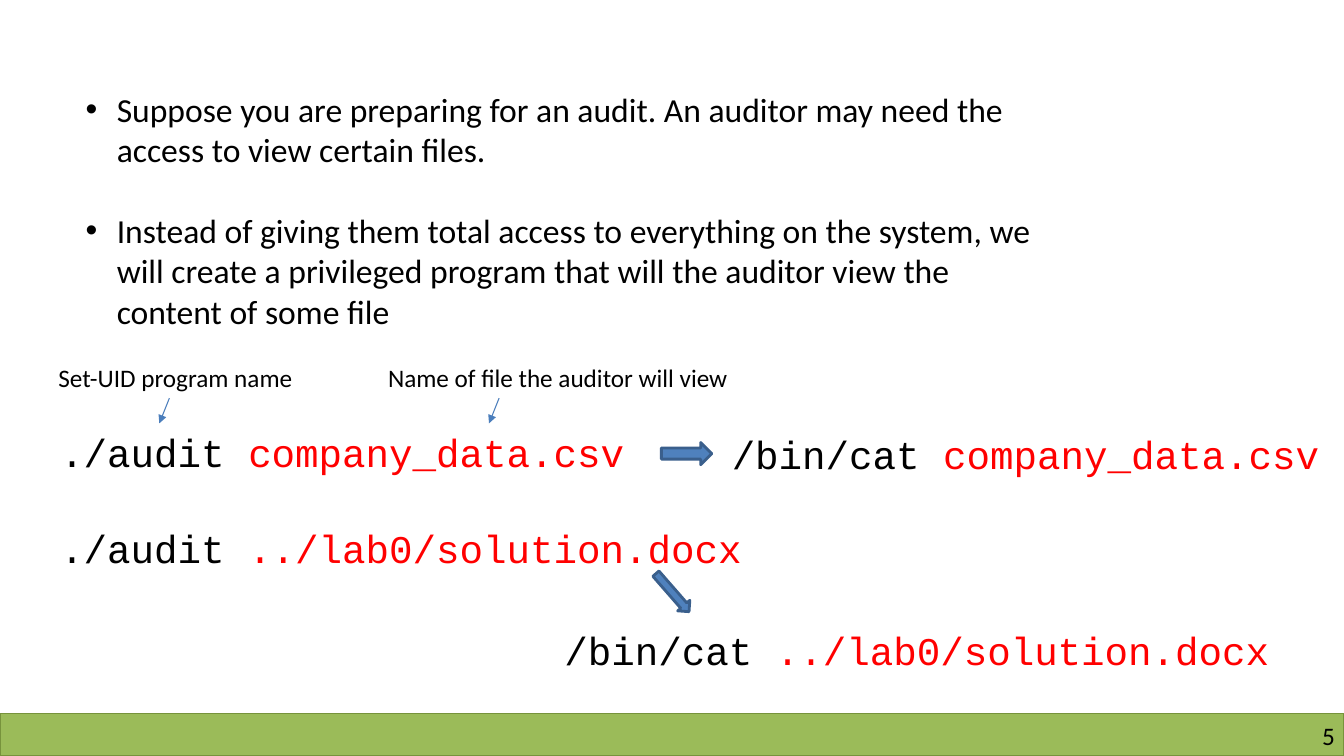
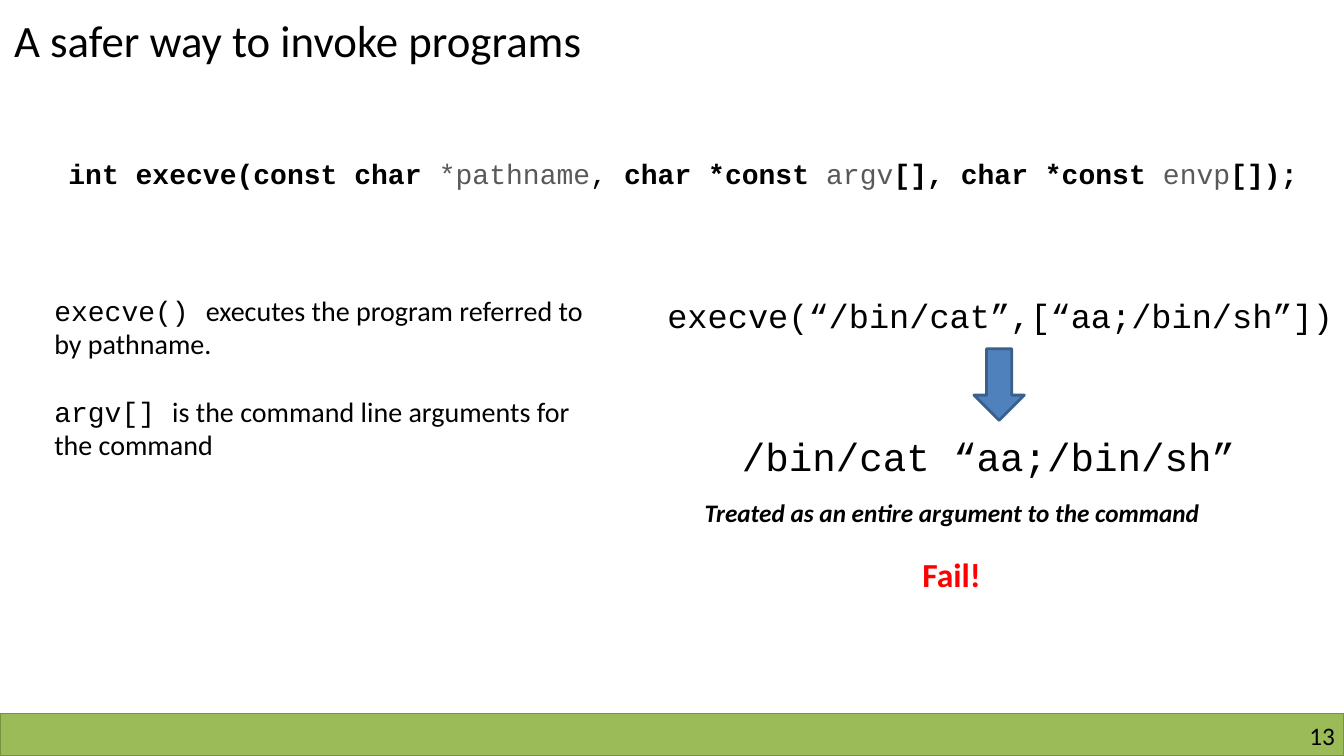
from dataclasses import dataclass

from lxml import etree
from pptx import Presentation
from pptx import util as u
from pptx.dml.color import RGBColor
from pptx.enum import shapes, text
from pptx.oxml.ns import qn

WIDE, HIGH = 1333, 750


@dataclass(frozen=True)
class Theme:
    sans: str = "Calibri"
    mono: str = "Courier New"
    ink: str = "000000"
    red: str = "FF0000"
    gray: str = "595959"
    band: str = "9BBB59"
    edge: str = "77933C"
    arrow: str = "4F81BD"
    rim: str = "3A5F8C"
    wire: str = "4B7EBC"
    head: int = 32
    code: int = 28
    body: int = 24
    small: int = 20
    note: int = 18


T = Theme()
RED = dict(color=T.red)
GRAY = dict(color=T.gray, bold=False)
PLAIN = dict(bold=False)
MONO = dict(font=T.mono)


def px(n):
    """Turn px, a hundred to the inch, into EMU."""
    return u.Emu(n * 9144)


def rgb(code):
    return RGBColor.from_string(code)


def style(run, font=T.sans, size=T.note, color=T.ink, bold=False, italic=False):
    f = run.font
    f.name, f.size, f.bold, f.italic = font, u.Pt(size), bold, italic
    f.color.rgb = rgb(color)


def bullet(para, indent):
    props = para._p.get_or_add_pPr()
    props.set("marL", str(px(indent)))
    props.set("indent", str(-px(indent)))
    etree.SubElement(props, qn("a:buFont")).set("typeface", "Arial")
    etree.SubElement(props, qn("a:buChar")).set("char", "•")


def write(shape, paras, gap=0, indent=0, align="LEFT", wrap=True, inset=True, **fmt):
    """Fill a shape with paragraphs; a run is a string or (string, changes)."""
    frame = shape.text_frame
    frame.word_wrap = wrap
    frame.auto_size = text.MSO_AUTO_SIZE.NONE
    frame.vertical_anchor = text.MSO_ANCHOR.TOP
    if not inset:
        frame.margin_left = frame.margin_right = 0
        frame.margin_top = frame.margin_bottom = 0
    for i, runs in enumerate(paras):
        para = frame.add_paragraph() if i else frame.paragraphs[0]
        para.alignment = text.PP_ALIGN[align]
        if i and gap:
            para.space_before = u.Pt(gap)
        if indent:
            bullet(para, indent)
        for part in runs:
            words, change = (part, {}) if isinstance(part, str) else part
            run = para.add_run()
            run.text = words
            style(run, **{**fmt, **change})


def label(slide, box, *paras, **fmt):
    write(slide.shapes.add_textbox(*map(px, box)), paras, **fmt)


def block(slide, kind, box, fill, line, width, turn=0):
    shape = slide.shapes.add_shape(shapes.MSO_SHAPE[kind], *map(px, box))
    shape.shadow.inherit = False
    shape.fill.solid()
    shape.fill.fore_color.rgb = rgb(fill)
    shape.line.color.rgb = rgb(line)
    shape.line.width = u.Pt(width)
    shape.rotation = turn


def arrow(slide, kind, box, turn=0):
    block(slide, kind, box, T.arrow, T.rim, 2, turn)


def pointer(slide, x, y):
    """Draw a thin arrow from a caption down to the code."""
    wire = slide.shapes.add_connector(
        shapes.MSO_CONNECTOR.STRAIGHT, *map(px, (x, y, x - 10, y + 25)))
    wire.line.color.rgb = rgb(T.wire)
    wire.line.width = u.Pt(0.75)
    etree.SubElement(wire.line._get_or_add_ln(), qn("a:tailEnd")).set("type", "triangle")
    etree.SubElement(wire._element.spPr, qn("a:effectLst"))


def page(deck, number, title=None):
    slide = deck.slides.add_slide(deck.slide_layouts[5 if title else 6])
    block(slide, "RECTANGLE", (0, 708, WIDE, 42), T.band, T.edge, 1)
    label(slide, (1017, 715, 307, 30), [str(number)], align="RIGHT", inset=False)
    if title:
        head = slide.shapes.title
        head.left, head.top, head.width, head.height = map(px, (4, 8, 648, 64))
        write(head, [[title]], size=T.head)
    return slide


def audit(deck):
    slide = page(deck, 5)
    label(slide, (75, 83, 988, 252),
          ["Suppose you are preparing for an audit. An auditor may need the "
           "access to view certain files."],
          ["Instead of giving them total access to everything on the system, we "
           "will create a privileged program that will the auditor view the "
           "content of some file"],
          size=T.body, gap=29, indent=31)

    captions = ((48, "Set-UID program name"),
                (375, "Name of file the auditor will view"))
    for x, words in captions:
        label(slide, (x, 355, 381, 40), [words])
        pointer(slide, x + 120, 395)

    csv, docx = ("company_data.csv", RED), ("../lab0/solution.docx", RED)
    code = dict(font=T.mono, size=T.code)
    label(slide, (50, 420, 800, 151), ["./audit ", csv], ["./audit ", docx],
          gap=35, **code)
    label(slide, (716, 422, 607, 57), ["/bin/cat ", csv], **code)
    label(slide, (550, 616, 748, 57), ["/bin/cat ", docx], **code)
    arrow(slide, "RIGHT_ARROW", (656, 439, 50, 22))
    arrow(slide, "RIGHT_ARROW", (642, 580, 50, 16), turn=48.9)


def safer(deck):
    slide = page(deck, 13, "A safer way to invoke programs")
    label(slide, (58, 150, 1265, 44),
          ["int execve(const char ", ("*pathname", GRAY), (", ", PLAIN),
           "char *const ", ("argv", GRAY), "[], char *const ",
           ("envp", GRAY), "[]);"],
          font=T.mono, size=T.small, bold=True)
    label(slide, (44, 286, 567, 178),
          [("execve() ", MONO), "executes the program referred to by pathname."],
          [("argv[] ", MONO), "is the command line arguments for the command"],
          size=T.small, gap=24)

    label(slide, (652, 288, 681, 50), ["execve(“/bin/cat”,[“aa;/bin/sh”])"],
          font=T.mono, size=T.body, wrap=False)
    arrow(slide, "DOWN_ARROW", (966, 346, 50, 71))
    label(slide, (726, 424, 537, 57), ["/bin/cat “aa;/bin/sh”"],
          font=T.mono, size=T.code)
    label(slide, (689, 488, 640, 40),
          ["Treated as an entire argument to the command"], bold=True, italic=True)
    label(slide, (905, 545, 89, 50), ["Fail!"], size=T.body, bold=True, **RED)


def main():
    deck = Presentation()
    deck.slide_width, deck.slide_height = px(WIDE), px(HIGH)
    audit(deck)
    safer(deck)
    deck.save("out.pptx")


if __name__ == "__main__":
    main()
